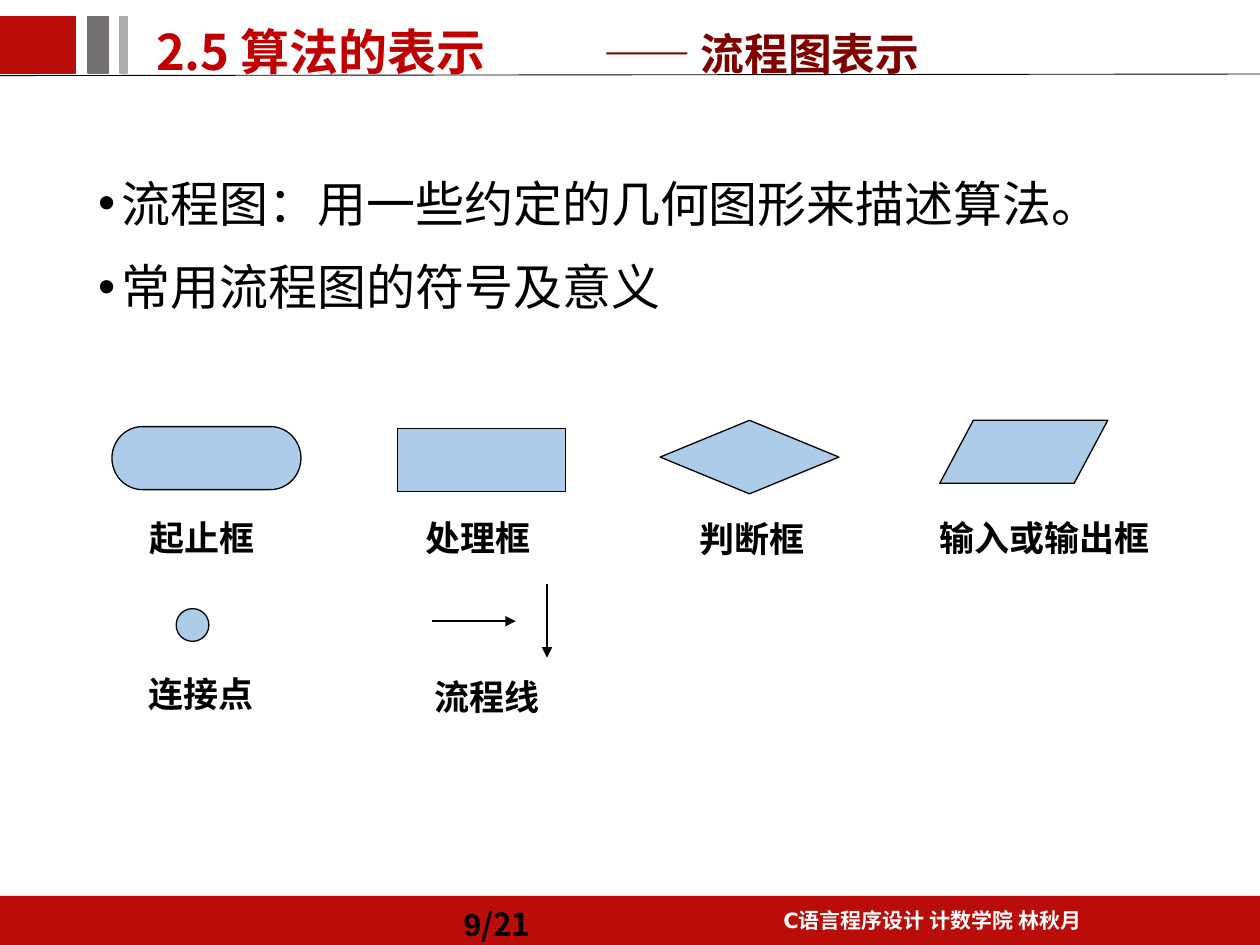
"""Build the slide that explains the common flowchart symbols."""
from dataclasses import dataclass, field
from typing import Any

from lxml.etree import SubElement
from pptx import Presentation
from pptx.dml.color import RGBColor
from pptx.enum.shapes import MSO_CONNECTOR, MSO_SHAPE
from pptx.enum.text import MSO_ANCHOR, MSO_AUTO_SIZE, PP_ALIGN
from pptx.oxml.ns import qn
from pptx.util import Pt

RED, BLUE, BLACK = "BA0D09", "5B9BD5", "000000"
NOTO, ROMAN = "Noto Sans CJK SC", "Times New Roman"


@dataclass
class Block:
    kind: MSO_SHAPE
    box: tuple
    fill: str
    line: str | None = None
    width: float = 0.75
    alpha: int = 100


@dataclass
class Label:
    box: tuple
    lines: list
    size: float
    font: str
    color: str = BLACK
    bold: bool = True
    frame: dict = field(default_factory=dict)
    para: dict = field(default_factory=dict)
    bullet: bool = False


@dataclass
class Stroke:
    start: tuple
    end: tuple
    width: float
    arrow: bool = True


def apply(item: Any, values: dict) -> None:
    for name, value in values.items():
        setattr(item, name, value)


def paint(target: Any, color: str) -> None:
    target.rgb = RGBColor.from_string(color)


def points(values: tuple) -> list:
    return [Pt(value) for value in values]


def draw_block(slide: Any, block: Block) -> None:
    shape = slide.shapes.add_shape(block.kind, *points(block.box))
    shape.shadow.inherit = False
    shape.fill.solid()
    paint(shape.fill.fore_color, block.fill)
    if block.alpha < 100:
        color = shape.fill._xPr.find(qn("a:solidFill"))[0]
        SubElement(color, qn("a:alpha"), val=str(block.alpha * 1000))
    if block.line:
        paint(shape.line.color, block.line)
        shape.line.width = Pt(block.width)
    else:
        shape.line.fill.background()


def draw_stroke(slide: Any, stroke: Stroke) -> None:
    line = slide.shapes.add_connector(
        MSO_CONNECTOR.STRAIGHT, *points(stroke.start + stroke.end))
    paint(line.line.color, BLACK)
    line.line.width = Pt(stroke.width)
    if stroke.arrow:
        SubElement(line.line._get_or_add_ln(), qn("a:tailEnd"), type="triangle")
    SubElement(line._element.spPr, qn("a:effectLst"))


def add_bullet(para: Any) -> None:
    props = para._p.get_or_add_pPr()
    props.set("marL", str(Pt(13.5)))
    props.set("indent", str(Pt(-13.5)))
    SubElement(props, qn("a:buFont"), typeface="Arial")
    SubElement(props, qn("a:buChar"), char="•")


def write(shape: Any, label: Label) -> None:
    place = zip(("left", "top", "width", "height"), points(label.box))
    apply(shape, dict(place))
    frame = shape.text_frame
    base = {"word_wrap": True, "auto_size": MSO_AUTO_SIZE.NONE,
            "vertical_anchor": MSO_ANCHOR.TOP}
    apply(frame, base | label.frame)
    for index, runs in enumerate(label.lines):
        para = frame.add_paragraph() if index else frame.paragraphs[0]
        apply(para, {"alignment": PP_ALIGN.LEFT} | label.para)
        if label.bullet:
            add_bullet(para)
        for text, font in runs:
            run = para.add_run()
            run.text = text
            name = font or label.font
            apply(run.font, {"name": name, "size": Pt(label.size),
                             "bold": label.bold})
            paint(run.font.color, label.color)
            SubElement(run._r.get_or_add_rPr(), qn("a:ea"), typeface=NOTO)


def draw_label(slide: Any, label: Label) -> None:
    write(slide.shapes.add_textbox(*points(label.box)), label)


def caption(left: float, top: float, width: float, text: str,
            **extra: Any) -> Label:
    return Label((left, top, width, 31), [[(text, None)]], 20, ROMAN, **extra)


def symbol(kind: MSO_SHAPE, *box: float) -> Block:
    return Block(kind, box, BLUE, BLACK, alpha=50)


def tab(left: float, width: float, color: str) -> Block:
    return Block(MSO_SHAPE.RECTANGLE, (left, 9.4, width, 32.4), color, color, 1)


BLOCKS = [
    Block(MSO_SHAPE.RECTANGLE, (0, 512, 720, 28), RED),
    tab(0, 43.2, RED),
    tab(50.2, 11.9, "767171"),
    tab(68.4, 4.3, "AFABAB"),
    symbol(MSO_SHAPE.FLOWCHART_TERMINATOR, 64, 243.8, 108, 36),
    symbol(MSO_SHAPE.FLOWCHART_PROCESS, 227.3, 244.8, 96, 36),
    symbol(MSO_SHAPE.FLOWCHART_DECISION, 377.2, 240.2, 102.2, 42),
    symbol(MSO_SHAPE.FLOWCHART_DATA, 537, 240.2, 96, 36),
    symbol(MSO_SHAPE.FLOWCHART_CONNECTOR, 100.7, 347.8, 18.7, 18.7),
]
STROKES = [
    Stroke((0, 43.2), (720, 42.3), 0.5, False),
    Stroke((246.8, 355), (294.7, 355), 1),
    Stroke((312.6, 334), (312.6, 375.8), 0.75),
]
TIGHT = {"word_wrap": False}
MID = {"alignment": PP_ALIGN.CENTER}
TITLE = Label((82, 2.2, 346.3, 48.2), [[("2.5 算法的表示", None)]], 28, NOTO,
              "C00000", para={"line_spacing": 1.2, "space_before": Pt(5.6),
                              "space_after": Pt(11.2)})
LABELS = [
    Label((405.4, 512, 254.9, 24.5), [[("C语言程序设计 计数学院 林秋月", None)]],
          12, "DejaVu Sans", "FFFFFF",
          para=MID | {"line_spacing": 1.2, "space_before": Pt(2.4),
                      "space_after": Pt(4.8)}),
    Label((257.8, 512, 102.2, 28), [[("9", "Arial"), ("/21", None)]], 18, NOTO,
          frame={"vertical_anchor": MSO_ANCHOR.MIDDLE},
          para={"line_spacing": 1.2, "space_before": Pt(3.6)}),
    Label((49, 88.6, 671, 430.6),
          [[("流程图：用一些约定的几何图形来描述算法。", None)],
           [("常用流程图的符号及意义", None)]], 28, NOTO, bold=False,
          para={"line_spacing": 1.2, "space_before": Pt(7.5)}, bullet=True),
    Label((337.7, 11.5, 241.2, 37.4), [[("—— 流程图表示", None)]], 25, "Arial",
          "800000", frame={"vertical_anchor": MSO_ANCHOR.BOTTOM}),
    caption(78.5, 291.6, 74.9, "起止框", frame=TIGHT),
    caption(235.8, 291.6, 74.9, "处理框", frame=TIGHT),
    caption(392.6, 292.3, 74.9, "判断框", frame=TIGHT),
    caption(529.9, 291.6, 135.4, "输入或输出框", frame=TIGHT),
    caption(236.2, 382.3, 84.2, "流程线", para=MID),
    caption(72.7, 380.9, 84.2, "连接点", para=MID),
]


def main() -> None:
    deck = Presentation()
    apply(deck, {"slide_width": Pt(720), "slide_height": Pt(540)})
    slide = deck.slides.add_slide(deck.slide_layouts[5])
    write(slide.shapes.title, TITLE)
    for draw, items in ((draw_block, BLOCKS), (draw_stroke, STROKES),
                        (draw_label, LABELS)):
        for item in items:
            draw(slide, item)
    deck.save("out.pptx")


if __name__ == "__main__":
    main()
